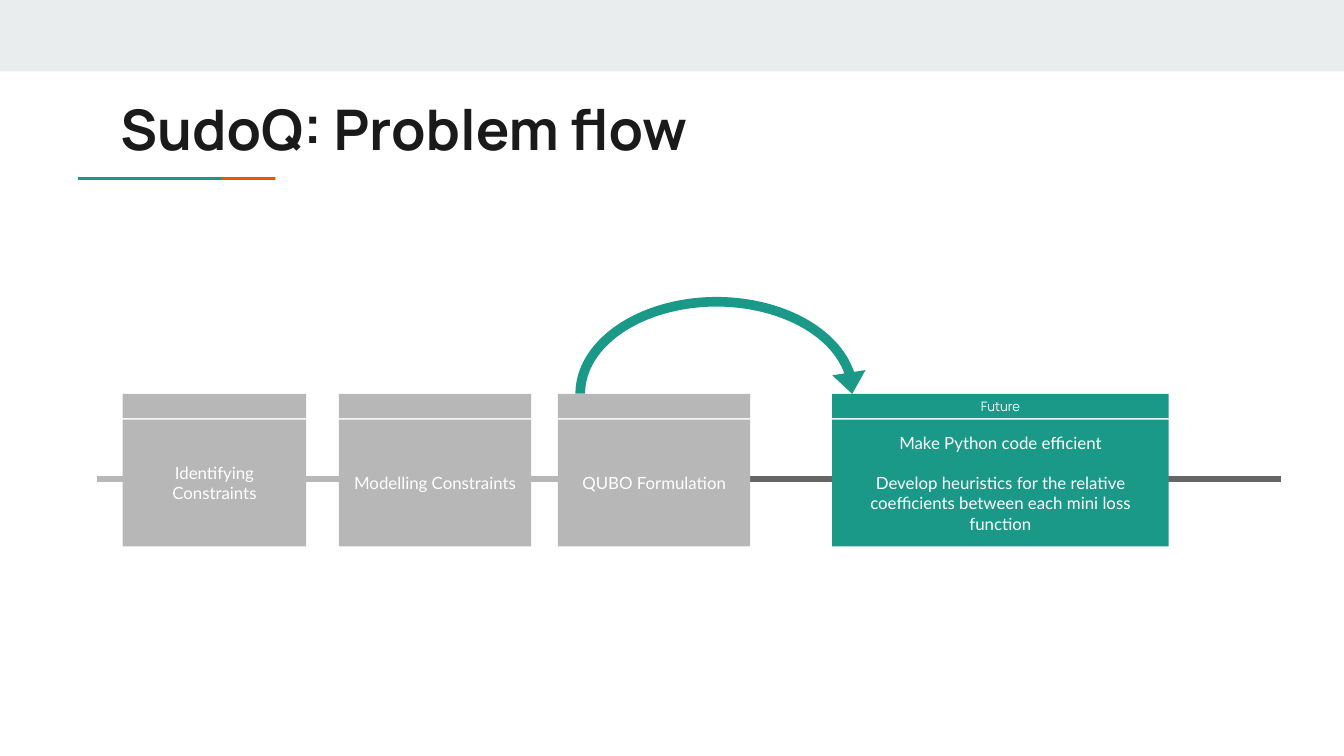
from collections import namedtuple
from dataclasses import dataclass

from lxml.etree import SubElement
from pptx import Presentation
from pptx.dml.color import RGBColor as Color
from pptx.enum.shapes import MSO_CONNECTOR as Link, MSO_SHAPE as Shape
from pptx.enum.text import MSO_ANCHOR as Anchor, PP_ALIGN as Align
from pptx.oxml.ns import qn
from pptx.util import Inches, Pt

Box = namedtuple("Box", "left top width height")


@dataclass(frozen=True)
class Theme:
    band: str = "E9EDEE"
    accent: str = "1A9988"
    highlight: str = "EB5600"
    done: str = "B7B7B7"
    ahead: str = "666666"
    ink: str = "1A1A1A"
    light: str = "FFFFFF"
    heading_font: str = "Manrope"
    body_font: str = "Lato"
    title_size: float = 30
    body_size: float = 9
    label_size: float = 7
    body_gap: float = 10.8
    track_width: float = 3


THEME = Theme()
COLUMNS, ROWS = 100, 56.25
UNIT = Inches(0.1)


def grid(*cells):
    return [round(cell * UNIT) for cell in cells]


def write(shape, lines, font, size, color, bold=False, align=Align.CENTER, gap=0):
    frame = shape.text_frame
    frame.word_wrap = True
    frame.margin_left = frame.margin_right = UNIT
    frame.margin_top = frame.margin_bottom = UNIT
    frame.text = "\n".join(lines)
    for index, para in enumerate(frame.paragraphs):
        para.alignment = align
        para.space_before = Pt(gap if index else 0)
        for span in para.runs:
            span.font.name = font
            span.font.size = Pt(size)
            span.font.bold = bold
            span.font.color.rgb = Color.from_string(color)


def add_fill(page, box, color, kind=Shape.RECTANGLE):
    shape = page.shapes.add_shape(kind, *grid(*box))
    shape.shadow.inherit = False
    shape.fill.solid()
    shape.fill.fore_color.rgb = Color.from_string(color)
    shape.line.fill.background()
    shape.text_frame.vertical_anchor = Anchor.MIDDLE
    return shape


def add_title(page, box, title):
    frame_box = page.shapes.add_textbox(*grid(*box))
    write(frame_box, [title], THEME.heading_font, THEME.title_size, THEME.ink,
          bold=True, align=Align.LEFT)


def add_accent(page, box):
    split = box.width * 0.73
    add_fill(page, box._replace(left=box.left + split, width=box.width - split),
             THEME.highlight)
    add_fill(page, box._replace(width=split), THEME.accent)


def add_track(page, start, end, row, color):
    track = page.shapes.add_connector(Link.STRAIGHT, *grid(start, row, end, row))
    track.line.color.rgb = Color.from_string(color)
    track.line.width = Pt(THEME.track_width)
    SubElement(track.element.spPr, qn("a:effectLst"))


def add_step(page, box, lines, color, label=""):
    head = box.height * 0.16
    body_top = box.height * 0.17
    body = add_fill(page, box._replace(top=box.top + body_top,
                                       height=box.height - body_top), color)
    write(body, lines, THEME.body_font, THEME.body_size, THEME.light,
          gap=THEME.body_gap)
    header = add_fill(page, box._replace(height=head), color)
    if label:
        write(header, [label], THEME.heading_font, THEME.label_size, THEME.light)


def add_jump(page, box):
    arc = add_fill(page, box, THEME.accent, Shape.BLOCK_ARC)
    for index, value in enumerate((108, 211.46, 0.05)):
        arc.adjustments[index] = value
    tip = Box(box.left + box.width * 0.915, box.top + box.height * 0.39, 2.5, 1.6)
    head = add_fill(page, tip, THEME.accent, Shape.ISOSCELES_TRIANGLE)
    head.rotation = 171.1


def add_flow(page, box):
    row = box.top + box.height * 0.56
    add_track(page, 44.5, box.left + box.width, row, THEME.ahead)
    add_track(page, box.left, 42.4, row, THEME.done)
    add_step(page, Box(61.92, box.top, 25.03, box.height),
             ["Make Python code efficient",
              "Develop heuristics for the relative coefficients between each "
              "mini loss function"], THEME.accent, "Future")
    steps = ((25.22, 14.3, "Modelling Constraints"),
             (9.13, 13.65, "Identifying Constraints"),
             (41.52, 14.3, "QUBO Formulation"))
    add_jump(page, Box(42.82, box.top - 7.2, 21, 14.4))
    for left, width, name in steps:
        add_step(page, Box(left, box.top, width, box.height), [name], THEME.done)


def main():
    deck = Presentation()
    deck.slide_width, deck.slide_height = grid(COLUMNS, ROWS)
    page = deck.slides.add_slide(deck.slide_layouts[6])
    add_fill(page, Box(0, 0, COLUMNS, 5.32), THEME.band)
    add_accent(page, Box(5.8, 13.18, 14.7, 0.2))
    add_title(page, Box(7.97, 6, 84.1, 5.9), "SudoQ: Problem flow")
    add_flow(page, Box(7.2, 29.3, 88.1, 11.35))
    deck.save("out.pptx")


if __name__ == "__main__":
    main()
